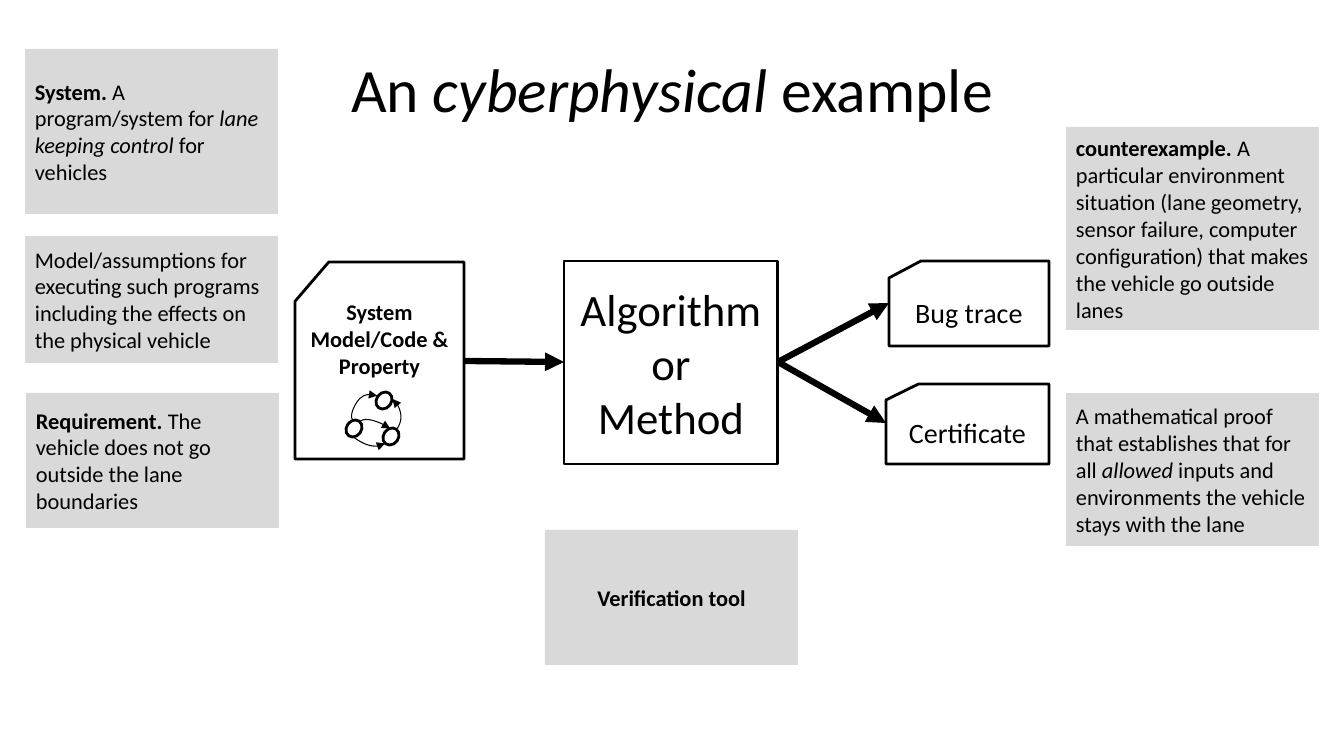
"""Build the slide 'An cyberphysical example': a verification workflow with notes."""
from lxml import etree
from pptx import Presentation
from pptx.dml.color import RGBColor
from pptx.enum.shapes import MSO_CONNECTOR, MSO_SHAPE
from pptx.enum.text import MSO_ANCHOR, PP_ALIGN
from pptx.oxml.ns import qn
from pptx.util import Pt

RECT, CARD, OVAL = MSO_SHAPE.RECTANGLE, MSO_SHAPE.FLOWCHART_CARD, MSO_SHAPE.OVAL
STRAIGHT, CURVE = MSO_CONNECTOR.STRAIGHT, MSO_CONNECTOR.CURVE
MIDDLE, BOTTOM = MSO_ANCHOR.MIDDLE, MSO_ANCHOR.BOTTOM
LEFT, CENTER = PP_ALIGN.LEFT, PP_ALIGN.CENTER

PX = 914400 / 100.8
FONT = "Calibri"
COLORS = {"ink": "000000", "note": "D9D9D9"}
STYLES = {"": {}, "b": {"bold": True}, "i": {"italic": True}}

TITLE = [[("An ", ""), ("cyberphysical", "i"), (" example", "")]]
TITLE_BOX = (67, 30, 1210, 126)

NOTE_W = 253
NOTES = [
    (25, 49, 165, LEFT, [("System.", "b"), (" A program/system for ", ""),
                         ("lane keeping control ", "i"), ("for vehicles", "")]),
    (25, 236, 127, LEFT, [("Model/assumptions for executing such programs including "
                           "the effects on the physical vehicle", "")]),
    (26, 393, 135, LEFT, [("Requirement.", "b"),
                          (" The vehicle does not go outside the lane boundaries", "")]),
    (545, 530, 135, CENTER, [("Verification tool", "b")]),
    (1066, 127, 203, LEFT, [("counterexample. ", "b"),
                            ("A particular environment situation (lane geometry, sensor failure, "
                             "computer configuration) that makes the vehicle go outside lanes", "")]),
    (1066, 393, 153, LEFT, [("A mathematical proof that establishes that for all ", ""),
                            ("allowed ", "i"),
                            ("inputs and environments the vehicle stays with the lane", "")]),
]

STEPS = [
    (CARD, (295, 262, 169, 197), 16, BOTTOM, 80, [[("System Model/Code & Property", "b")]]),
    (RECT, (564, 261, 214, 203), 32, MIDDLE, 5, [[("Algorithm", "")], [("or Method", "")]]),
    (CARD, (889, 261, 160, 85), 20, MIDDLE, 5, [[("Bug trace", "")]]),
    (CARD, (886, 384, 163, 80), 20, MIDDLE, 5, [[("Certificate", "")]]),
]
ARROWS = [(464, 361, 564, 362), (778, 362, 889, 303), (778, 362, 886, 423)]

STATES = [(375, 393), (382, 429), (345, 421)]
STATE_SIZE, STATE_TURN = (18, 15), 305.5
TRANSITIONS = [
    ((362, 391, 6, 34), 215, "flipH", "curvedConnector3", -117100),
    ((355, 434, 29, 13), 215, "flipH", "curvedConnector2", None),
    ((368, 411, 13, 29), 305, None, "curvedConnector2", None),
    ((383, 404, 23, 21), 305, "flipV", "curvedConnector2", None),
]


def emu(*lengths):
    return [round(v * PX) for v in lengths]


def color(name):
    return RGBColor.from_string(COLORS[name])


def write(shape, paragraphs, size, align, anchor=MIDDLE, bottom=5, spacing=None):
    tf = shape.text_frame
    tf.word_wrap = True
    tf.vertical_anchor = anchor
    tf.margin_bottom = emu(bottom)[0]
    for n, runs in enumerate(paragraphs):
        p = tf.add_paragraph() if n else tf.paragraphs[0]
        p.alignment = align
        p.line_spacing = spacing
        for text, style in runs:
            r = p.add_run()
            r.text = text
            for key, value in {"name": FONT, "size": Pt(size), **STYLES[style]}.items():
                setattr(r.font, key, value)
            r.font.color.rgb = color("ink")


def add_box(s, kind, box, fill=None):
    sp = s.shapes.add_shape(kind, *emu(*box))
    sp.shadow.inherit = False
    if fill:
        sp.fill.solid()
        sp.fill.fore_color.rgb = color(fill)
        sp.line.fill.background()
    else:
        sp.fill.background()
        sp.line.color.rgb = color("ink")
        sp.line.width = Pt(2)
    return sp


def add_arrow(s, kind, ends, width):
    c = s.shapes.add_connector(kind, *emu(*ends))
    c.line.color.rgb = color("ink")
    c.line.width = Pt(width)
    props = c._element.spPr
    etree.SubElement(props.find(qn("a:ln")), qn("a:tailEnd"), type="triangle")
    etree.SubElement(props, qn("a:effectLst"))
    return props


def add_transition(s, box, turn, flip, preset, bend):
    x, y, w, h = box
    props = add_arrow(s, CURVE, (x, y, x + w, y + h), 0.75)
    xfrm = props.find(qn("a:xfrm"))
    xfrm.set("rot", str(turn * 60000))
    if flip:
        xfrm.set(flip, "1")
    geom = props.find(qn("a:prstGeom"))
    geom.set("prst", preset)
    if bend is not None:
        etree.SubElement(geom.find(qn("a:avLst")), qn("a:gd"), name="adj1", fmla=f"val {bend}")


def main():
    prs = Presentation()
    prs.slide_width, prs.slide_height = emu(1344, 756)
    s = prs.slides.add_slide(prs.slide_layouts[6])
    write(s.shapes.add_textbox(*emu(*TITLE_BOX)), TITLE, 44, CENTER, spacing=0.9)
    for kind, box, size, anchor, bottom, paragraphs in STEPS:
        write(add_box(s, kind, box), paragraphs, size, CENTER, anchor, bottom)
    for ends in ARROWS:
        add_arrow(s, STRAIGHT, ends, 4.5)
    for corner in STATES:
        add_box(s, OVAL, corner + STATE_SIZE).rotation = STATE_TURN
    for transition in TRANSITIONS:
        add_transition(s, *transition)
    for x, y, h, align, runs in NOTES:
        write(add_box(s, RECT, (x, y, NOTE_W, h), "note"), [runs], 16, align)
    prs.save("out.pptx")


if __name__ == "__main__":
    main()
